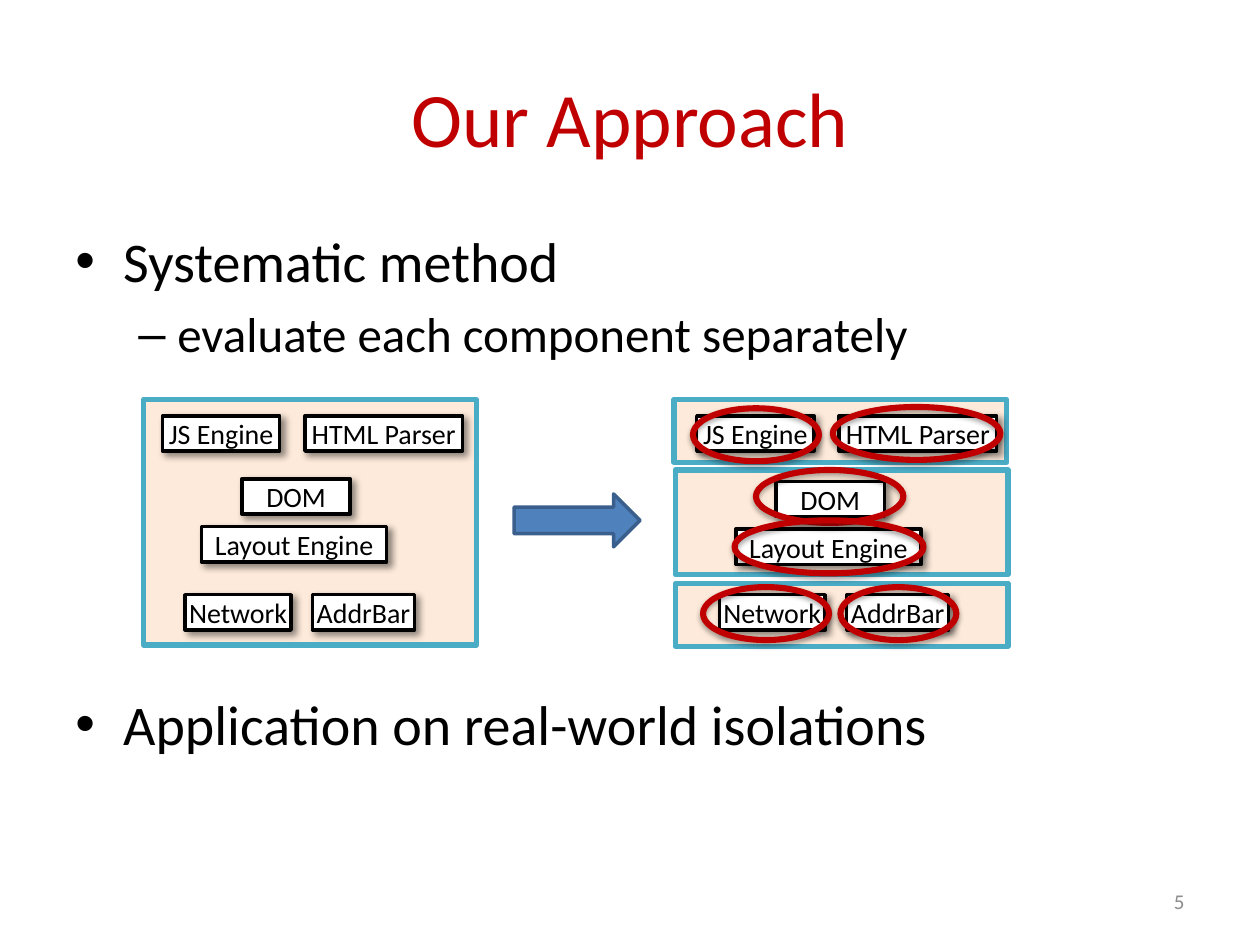
from lxml import etree
from pptx import Presentation
from pptx.dml.color import RGBColor
from pptx.enum import shapes as sh, text as tx
from pptx.oxml.ns import qn
from pptx.util import Inches, Pt

KIND = sh.MSO_SHAPE
ALIGN = tx.PP_ALIGN
PARTS = [
    ("JS Engine", 1.29, 3.3, 0.93, 0),
    ("HTML Parser", 2.42, 3.3, 1.25, 0),
    ("Layout Engine", 1.6, 4.18, 1.47, 0.02),
    ("DOM", 1.92, 3.8, 0.86, 0.02),
    ("Network", 1.47, 4.72, 0.84, 0),
    ("AddrBar", 2.48, 4.72, 0.81, 0),
]
WHOLE = [(1.14, 3.17, 1.95)]
SPLIT = [(5.36, 4.63, 0.5), (5.36, 3.73, 0.83), (5.35, 3.17, 0.5)]
RINGS = [
    (5.5, 3.24, 1), (6.61, 3.23, 1.33), (6, 3.73, 1.17),
    (5.83, 4.13, 1.5), (5.58, 4.66, 1), (6.67, 4.66, 0.92),
]
BULLETS = [
    ("Systematic method", 32, "\u2022", 0.38, -0.38, 6.4),
    ("evaluate each component separately", 28, "\u2013", 0.81, -0.31, 5.6),
    ("Application on real-world isolations", 32, "\u2022", 0.38, -0.38, 187),
]


def color(code):
    return RGBColor.from_string(code)


def style(para, size, code="000000", align=ALIGN.LEFT):
    para.alignment = align
    para.font.size = Pt(size)
    para.font.name = "Calibri"
    para.font.color.rgb = color(code)


def shadow(shape, alpha, blur, dist, angle):
    effects = shape._element.spPr.find(qn("a:effectLst"))
    outer = etree.SubElement(
        effects, qn("a:outerShdw"), blurRad=str(Pt(blur)),
        dist=str(Pt(dist)), dir=str(angle * 60000), rotWithShape="0")
    tint = etree.SubElement(outer, qn("a:srgbClr"), val="000000")
    etree.SubElement(tint, qn("a:alpha"), val=str(alpha * 1000))


def block(home, kind, box, fill, line, width):
    shape = home.add_shape(kind, *map(Inches, box))
    if fill:
        shape.fill.solid()
        shape.fill.fore_color.rgb = color(fill)
    else:
        shape.fill.background()
    shape.line.color.rgb = color(line)
    shape.line.width = Pt(width)
    shape.shadow.inherit = False
    return shape


def label(home, box, words):
    shape = block(home, KIND.RECTANGLE, box, "FFFFFF", "000000", 2)
    shadow(shape, 43, 4, 3, 45)
    frame = shape.text_frame
    frame.margin_left = frame.margin_right = 0
    frame.margin_top = frame.margin_bottom = 0
    frame.vertical_anchor = tx.MSO_ANCHOR.MIDDLE
    frame.text = words
    style(frame.paragraphs[0], 16, align=ALIGN.CENTER)


def browser(slide, panels, shift=0, drop=False):
    group = slide.shapes.add_group_shape().shapes
    for left, top, high in panels:
        block(group, KIND.RECTANGLE, (left, top, 2.64, high),
              "FDEADA", "4BACC6", 3)
    for words, left, top, wide, fall in PARTS:
        down = fall if drop else 0
        label(group, (left + shift, top + down, wide, 0.28), words)


def ring(slide, left, top, wide):
    shape = block(slide.shapes, KIND.OVAL, (left, top, wide, 0.42),
                  None, "C00000", 3.5)
    shadow(shape, 35, 3.1, 1.8, 90)


def frame_at(slide, box, anchor):
    frame = slide.shapes.add_textbox(*map(Inches, box)).text_frame
    frame.word_wrap = True
    frame.vertical_anchor = anchor
    return frame


def line_at(slide, box, words, size, code, align):
    frame = frame_at(slide, box, tx.MSO_ANCHOR.MIDDLE)
    frame.text = words
    style(frame.paragraphs[0], size, code, align)


def body(slide):
    frame = frame_at(slide, (0.5, 1.75, 9, 5.75), tx.MSO_ANCHOR.TOP)
    for index, (words, size, mark, left, hang, gap) in enumerate(BULLETS):
        para = frame.add_paragraph() if index else frame.paragraphs[0]
        para.text = words
        para.level = 1 if size == 28 else 0
        if index:
            para.space_before = Pt(gap)
        props = para._p.get_or_add_pPr()
        props.set("marL", str(Inches(left)))
        props.set("indent", str(Inches(hang)))
        etree.SubElement(props, qn("a:buFont"), typeface="Arial")
        etree.SubElement(props, qn("a:buChar"), char=mark)
        style(para, size)


def main():
    deck = Presentation()
    deck.slide_width, deck.slide_height = Inches(10), Inches(7.5)
    slide = deck.slides.add_slide(deck.slide_layouts[6])
    line_at(slide, (0.5, 0.3, 9, 1.25), "Our Approach", 44, "C00000",
            ALIGN.CENTER)
    body(slide)
    browser(slide, WHOLE)
    browser(slide, SPLIT, 4.24, True)
    block(slide.shapes, KIND.RIGHT_ARROW, (4.08, 3.92, 1, 0.42),
          "4F81BD", "3A5F8C", 2)
    for spot in RINGS:
        ring(slide, *spot)
    line_at(slide, (7.17, 6.95, 2.33, 0.4), "5", 12, "8C8C8C", ALIGN.RIGHT)
    deck.save("out.pptx")


main()
